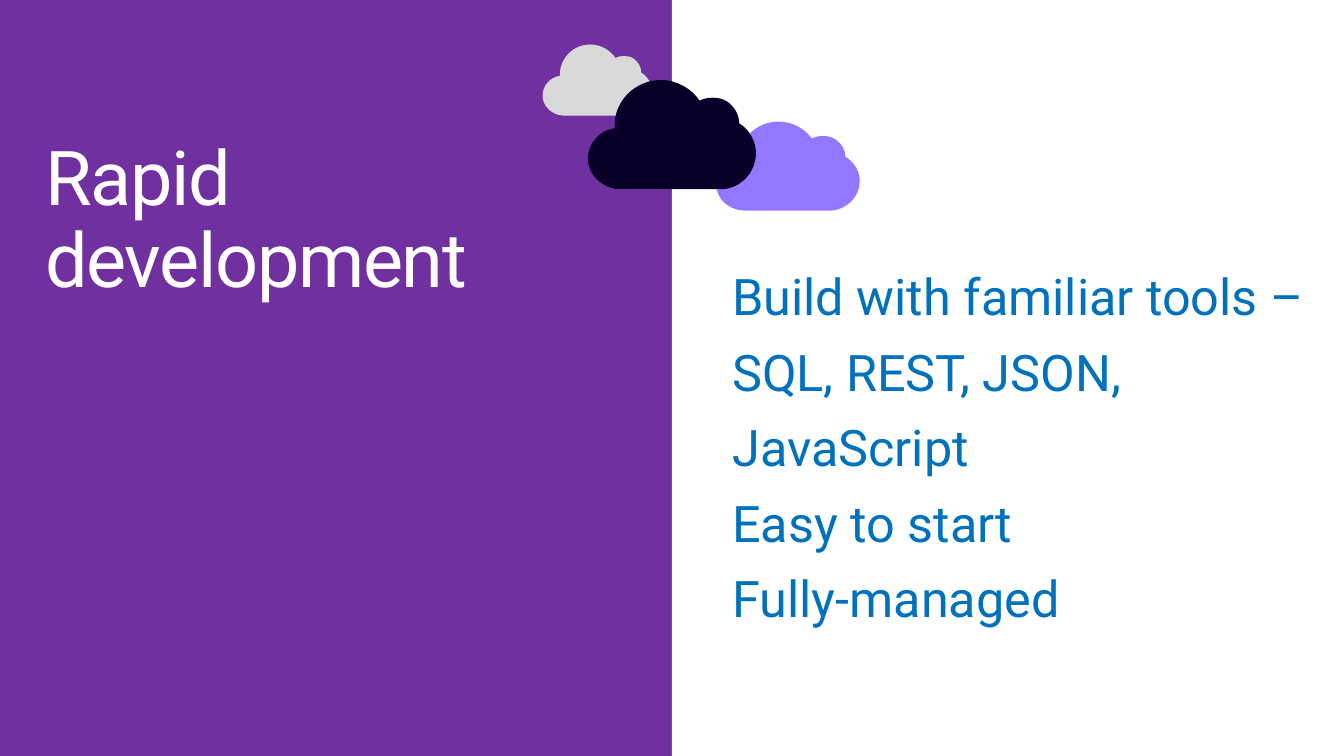
import lxml.etree
import pptx
import pptx.dml.color
import pptx.enum.shapes
import pptx.enum.text
import pptx.oxml.ns
import pptx.util

Pt = pptx.util.Pt
RGB = pptx.dml.color.RGBColor.from_string
qn = pptx.oxml.ns.qn

WIDTH, HEIGHT = 979.2, 550.8
COLORS = {
    "purple": "7030A0",
    "white": "FFFFFF",
    "blue": "0071BC",
    "gray": "D9D9D9",
    "lavender": "9377FF",
    "navy": "09002A",
}
FRAME = {
    "word_wrap": True,
    "auto_size": pptx.enum.text.MSO_AUTO_SIZE.NONE,
    "vertical_anchor": pptx.enum.text.MSO_ANCHOR.TOP,
    "margin_left": Pt(11.5),
    "margin_right": Pt(11.5),
    "margin_top": Pt(7.2),
    "margin_bottom": Pt(7.2),
}
CLOUD_SIZE = (170, 111)
CLOUD_START = (27, 49)
CLOUD_CURVES = [
    ((27, 48), (27, 47), (27, 46)),
    ((27, 21), (48, 0), (74, 0)),
    ((90, 0), (105, 9), (113, 21)),
    ((117, 19), (121, 18), (126, 18)),
    ((131, 18), (137, 19), (141, 22)),
    ((148, 27), (153, 35), (153, 44)),
    ((163, 50), (170, 62), (170, 74)),
    ((170, 93), (156, 109), (137, 111)),
    ((137, 111), (32, 111), (32, 111)),
    ((14, 110), (0, 96), (0, 80)),
    ((0, 64), (12, 51), CLOUD_START),
]
CLOUDS = [
    ("gray", (395.3, 32.4, 79.9, 51.8)),
    ("lavender", (522, 88.6, 104.4, 64.8)),
    ("navy", (428.4, 58.3, 122.4, 79.6)),
]


def set_all(obj, values):
    """Set every attribute named in a dict of values."""
    for name, value in values.items():
        setattr(obj, name, value)


def paint(sp, color):
    """Give a shape a flat fill without line or shadow."""
    sp.shadow.inherit = False
    sp.fill.solid()
    sp.fill.fore_color.rgb = RGB(COLORS[color])
    sp.line.fill.background()


def add_text(s, box, paragraphs, size, color, line_spacing, spacing=0):
    """Place a text block in a box, one item per paragraph."""
    tf = s.shapes.add_textbox(*map(Pt, box)).text_frame
    set_all(tf, FRAME)
    for i, text in enumerate(paragraphs):
        p = tf.paragraphs[0] if i == 0 else tf.add_paragraph()
        p.text = text
        p.line_spacing = line_spacing
        for r in p.runs:
            set_all(r.font, {"size": Pt(size), "name": "Roboto"})
            r.font.color.rgb = RGB(COLORS[color])
            if spacing:
                r._r.get_or_add_rPr().set("spc", str(spacing))


def add_panel(s, box):
    """Draw the white panel that fills a box."""
    sp = s.shapes.add_shape(pptx.enum.shapes.MSO_SHAPE.RECTANGLE, *map(Pt, box))
    paint(sp, "white")


def add_cloud(s, box, color):
    """Draw a cloud of Bezier curves stretched to a box."""
    left, top, width, height = box
    scale = (width / CLOUD_SIZE[0], height / CLOUD_SIZE[1])

    def place(point, x=0, y=0):
        """Scale an outline point and shift it by x and y."""
        return Pt(x + point[0] * scale[0]), Pt(y + point[1] * scale[1])

    builder = s.shapes.build_freeform(*place(CLOUD_START, left, top))
    builder.add_line_segments(
        [place(curve[-1], left, top) for curve in CLOUD_CURVES], close=True)
    sp = builder.convert_to_shape()
    paint(sp, color)
    segments = list(sp._element.iter(qn("a:lnTo")))
    for segment, curve in zip(segments, CLOUD_CURVES):
        bezier = lxml.etree.Element(qn("a:cubicBezTo"))
        for point in curve:
            x, y = place(point)
            lxml.etree.SubElement(bezier, qn("a:pt"), x=str(int(x)), y=str(int(y)))
        segment.getparent().replace(segment, bezier)


def build_slide(prs):
    """Build the split slide with title, clouds and benefits."""
    s = prs.slides.add_slide(prs.slide_layouts[6])
    s.background.fill.solid()
    s.background.fill.fore_color.rgb = RGB(COLORS["purple"])
    add_text(s, (21.6, 95, 648, 216.7), ["Rapid \vdevelopment"],
             55.1, "white", 0.9, spacing=-100)
    add_panel(s, (WIDTH / 2, 0, WIDTH / 2, HEIGHT))
    for color, box in CLOUDS:
        add_cloud(s, box, color)
    benefits = [
        "Build with familiar tools – SQL, REST, JSON, JavaScript",
        "Easy to start\vFully-managed",
    ]
    add_text(s, (522, 175, 457.2, 321.8), benefits, 36.7, "blue", 1.25)


def main():
    """Create the presentation and save it."""
    prs = pptx.Presentation()
    set_all(prs, {"slide_width": Pt(WIDTH), "slide_height": Pt(HEIGHT)})
    build_slide(prs)
    prs.save("out.pptx")


if __name__ == "__main__":
    main()
